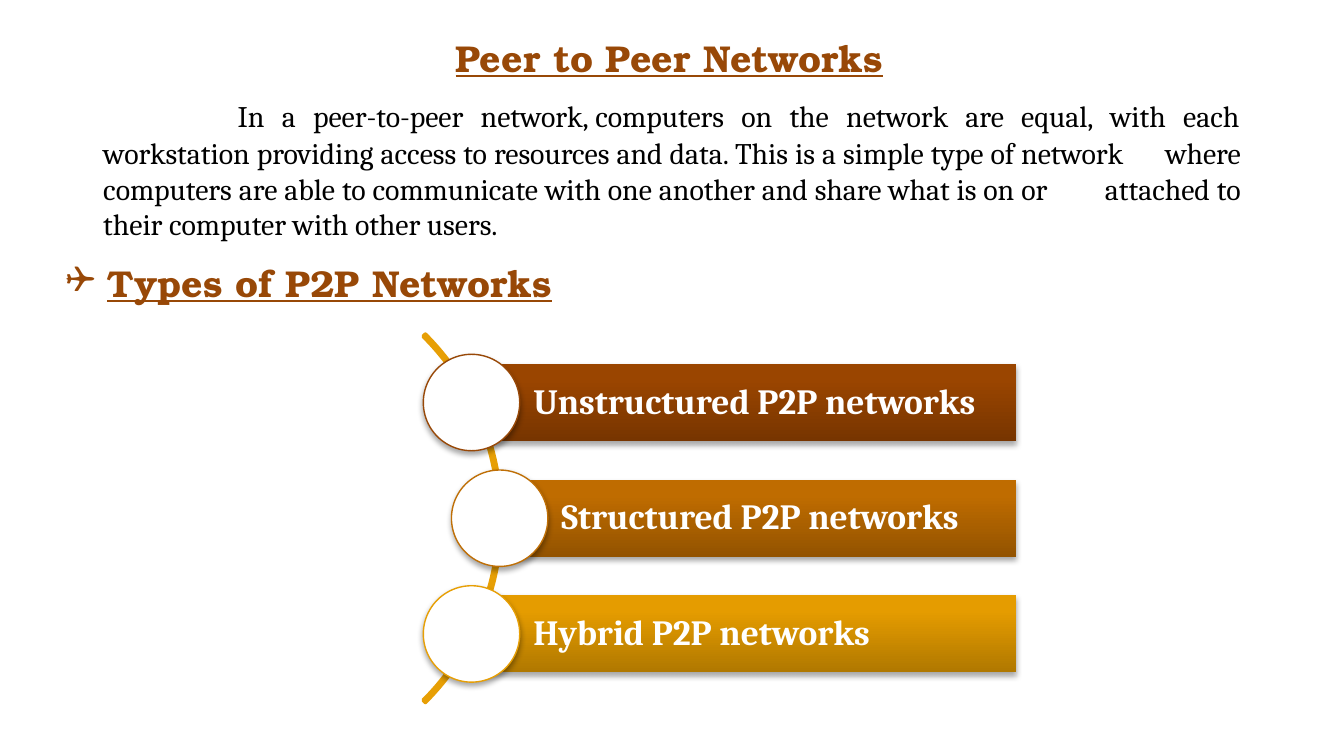
from copy import deepcopy

from lxml.etree import SubElement
from pptx import Presentation
from pptx.dml.color import RGBColor
from pptx.enum.shapes import MSO_SHAPE
from pptx.enum.text import MSO_ANCHOR, MSO_AUTO_SIZE, PP_ALIGN
from pptx.oxml.ns import qn
from pptx.util import Emu, Inches, Pt

BROWN = RGBColor(0x98, 0x48, 0x07)
OCHRE = RGBColor(0xBF, 0x6F, 0x06)
GOLD = RGBColor(0xE7, 0x9F, 0x05)
BLACK = RGBColor(0, 0, 0)
WHITE = RGBColor(0xFF, 0xFF, 0xFF)
BROWN_STOPS = [RGBColor.from_string(c) for c in ("773500", "9A4500", "9B4500")]
OCHRE_STOPS = [RGBColor.from_string(c) for c in ("935300", "BF6C00", "C06D00")]
GOLD_STOPS = [RGBColor.from_string(c) for c in ("B07800", "E59C00", "E69D00")]

HEADING = dict(name="TeX Gyre Bonum", size=Pt(20), bold=True, underline=True, color=BROWN)
BODY = dict(name="Cambria", size=Pt(16), color=BLACK)
INDENT = dict(BODY, size=Pt(18))
LABEL = dict(name="Cambria", size=Pt(19), bold=True, color=WHITE)

BODY_TEXT = (
    "In a peer-to-peer network,\u00a0computers on the network are equal, with each "
    "workstation providing access to resources and data. This is a simple type of network\t"
    "where computers are able to communicate with one another and share what is on or\t"
    "attached to their computer with other users."
)
TYPES = [
    ("Unstructured P2P networks", 0, BROWN, BROWN_STOPS),
    ("Structured P2P networks", 7.3, OCHRE, OCHRE_STOPS),
    ("Hybrid P2P networks", 0, GOLD, GOLD_STOPS),
]


def share(length, percent):
    """Return a percentage of a length."""
    return Emu(int(length * percent / 100))


def add_run(p, text, fmt):
    """Append a run and apply its font format."""
    r = p.add_run()
    r.text = text
    for key, value in fmt.items():
        if key == "color":
            r.font.color.rgb = value
        else:
            setattr(r.font, key, value)


def add_text(slide, box, align, *runs):
    """Add a wrapping text box of one paragraph and return the paragraph."""
    tf = slide.shapes.add_textbox(*box).text_frame
    tf.word_wrap = True
    tf.auto_size = MSO_AUTO_SIZE.SHAPE_TO_FIT_TEXT
    p = tf.paragraphs[0]
    p.alignment = align
    for text, fmt in runs:
        add_run(p, text, fmt)
    return p


def add_title(slide, box):
    """Place the centred slide title."""
    add_text(slide, box, PP_ALIGN.CENTER, ("Peer to Peer Networks", HEADING))


def add_body(slide, box):
    """Place the justified definition with its tab stops."""
    p = add_text(slide, box, PP_ALIGN.JUSTIFY, ("\t", INDENT), (BODY_TEXT, BODY))
    tabs = SubElement(p._p.get_or_add_pPr(), qn("a:tabLst"))
    for stop in (1, 7.41, 7.85):
        SubElement(tabs, qn("a:tab"), pos=str(Inches(stop)), algn="l")


def add_heading(slide, box):
    """Place the bulleted heading above the diagram."""
    p = add_text(slide, box, PP_ALIGN.LEFT, ("Types of P2P Networks", HEADING))
    pPr = p._p.get_or_add_pPr()
    pPr.set("marL", str(Inches(0.31)))
    pPr.set("indent", str(-Inches(0.31)))
    SubElement(pPr, qn("a:buFont"), typeface="Wingdings", charset="2")
    SubElement(pPr, qn("a:buChar"), char="❑")


def add_shadow(sp):
    """Give a shape a soft shadow below it."""
    sp.shadow.inherit = False
    effects = sp._element.spPr.find(qn("a:effectLst"))
    shadow = SubElement(effects, qn("a:outerShdw"), blurRad=str(Pt(3.1)),
                        dist=str(Pt(1.8)), dir="5400000", rotWithShape="0")
    color = SubElement(shadow, qn("a:srgbClr"), val="000000")
    SubElement(color, qn("a:alpha"), val="35000")


def fill_gradient(sp, colors):
    """Fill a shape with a three-stop gradient running upwards."""
    sp.fill.gradient()
    sp.fill.gradient_angle = 90
    stops = sp._element.spPr.find(".//" + qn("a:gsLst"))
    stops.append(deepcopy(stops[-1]))
    for stop, position, color in zip(sp.fill.gradient_stops, (0, 0.8, 1), colors):
        stop.position = position
        stop.color.rgb = color


def add_ribbon(slide, box, text, colors):
    """Place one labelled ribbon."""
    sp = slide.shapes.add_shape(MSO_SHAPE.RECTANGLE, *box)
    fill_gradient(sp, colors)
    sp.line.fill.background()
    add_shadow(sp)
    tf = sp.text_frame
    layout = dict(word_wrap=True, vertical_anchor=MSO_ANCHOR.MIDDLE,
                  margin_left=Inches(0.46), margin_right=Inches(0.05))
    for key, value in layout.items():
        setattr(tf, key, value)
    p = tf.paragraphs[0]
    p.alignment = PP_ALIGN.LEFT
    p.line_spacing = 0.9
    add_run(p, text, LABEL)


def add_knob(slide, box, color):
    """Place one white circle with a coloured outline."""
    sp = slide.shapes.add_shape(MSO_SHAPE.OVAL, *box)
    sp.fill.solid()
    sp.fill.fore_color.rgb = WHITE
    sp.line.color.rgb = color
    sp.line.width = Pt(0.75)
    add_shadow(sp)


def add_arc(slide, box):
    """Place the thin arc that links the circles."""
    sp = slide.shapes.add_shape(MSO_SHAPE.BLOCK_ARC, *box)
    for i, value in enumerate((189, 27, 0.006)):
        sp.adjustments[i] = value
    sp.fill.background()
    sp.line.color.rgb = GOLD
    sp.line.width = Pt(2)
    sp.shadow.inherit = False


def add_diagram(slide, box):
    """Place the arc and one circle and ribbon per network type."""
    left, top, width, height = box
    pitch, bar, knob, arc = (share(height, k) for k in (30, 20, 25, 135))
    arc_left = left + share(height, 20.3) - arc
    add_arc(slide, (arc_left, top + (height - arc) // 2, arc, arc))
    for i, (text, shift, color, colors) in enumerate(TYPES):
        x = left + share(height, shift)
        y = top + bar // 2 + i * pitch
        bar_left = x + knob // 2
        add_ribbon(slide, (bar_left, y, left + width - bar_left, bar), text, colors)
        add_knob(slide, (x, y + (bar - knob) // 2, knob, knob), color)


def main():
    """Build the slide and save it."""
    prs = Presentation()
    prs.slide_width = Inches(10)
    prs.slide_height = prs.slide_width * 9 // 16
    slide = prs.slides.add_slide(prs.slide_layouts[6])
    regions = [
        (add_title, (24.8, 3.73, 50, 7.82)),
        (add_body, (6.7, 11.56, 86.6, 21.51)),
        (add_heading, (3.9, 33.5, 39.8, 7.82)),
        (add_diagram, (31.5, 43.05, 44.1, 51.02)),
    ]
    sides = (prs.slide_width, prs.slide_height) * 2
    for add_region, shares in regions:
        add_region(slide, [share(side, k) for side, k in zip(sides, shares)])
    prs.save("out.pptx")


if __name__ == "__main__":
    main()
